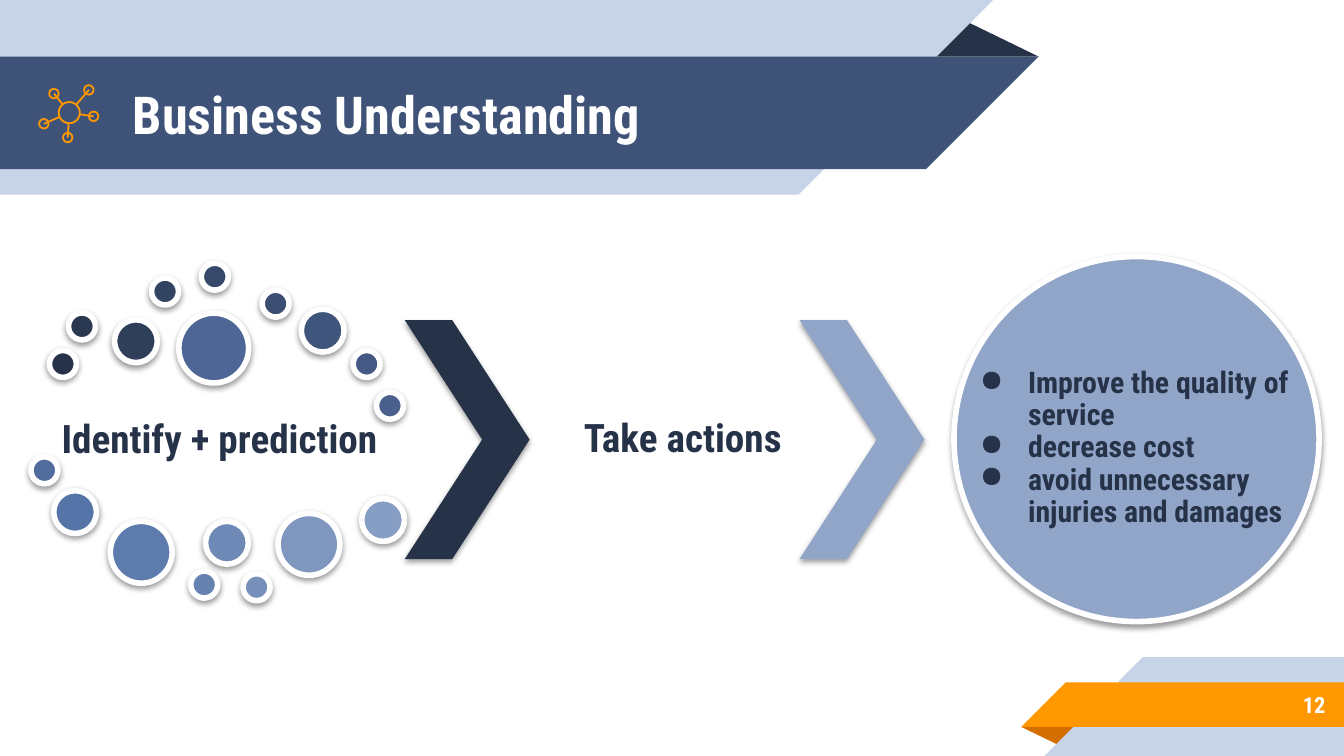
from math import hypot

from lxml.etree import SubElement
from pptx import Presentation
from pptx.dml.color import RGBColor
from pptx.enum.shapes import MSO_CONNECTOR, MSO_SHAPE
from pptx.enum.text import MSO_ANCHOR, MSO_AUTO_SIZE, PP_ALIGN
from pptx.oxml.ns import qn
from pptx.util import Cm, Pt

FONT = "Roboto Condensed"
COLORS = {
    "navy": "263248", "blue": "3F5378", "mist": "C7D3E6", "steel": "90A5C8",
    "orange": "FF9800", "rust": "D26F00", "white": "FFFFFF", "black": "000000",
}

# All lengths are in centimetres.
SLIDE_W, SLIDE_H = 25.4, 14.29
RIBBONS = [
    ("navy", [(18.17, 0.36), (19.63, 1.07), (17.48, 1.07)]),
    ("mist", [(0, 0), (18.77, 0), (15.09, 3.68), (0, 3.68)]),
    ("blue", [(0, 1.07), (19.63, 1.07), (17.5, 3.2), (0, 3.2)]),
    ("rust", [(19.3, 13.74), (20.4, 13.74), (20.04, 14.1)]),
    ("mist", [(19.74, SLIDE_H), (21.6, 12.42), (SLIDE_W, 12.42), (SLIDE_W, SLIDE_H)]),
    ("orange", [(19.3, 13.74), (20.14, 12.9), (SLIDE_W, 12.9), (SLIDE_W, 13.74)]),
]

TITLE = "Business Understanding"
PAGE_NUMBER = "12"
STEPS = [
    ("Identify + prediction", (0.53, 7.26, 7.24, 2.13)),
    ("Take actions", (9.68, 6.05, 6.45, 4.52)),
]
CHEVRONS = [("navy", 7.65), ("steel", 15.11)]
OUTCOMES = [
    "Improve the quality of service",
    "decrease cost",
    "avoid unnecessary injuries and damages",
]

HUB, HUB_SIZE = (1.31, 2.13), 0.4
NODES, NODE_SIZE = [(1.68, 1.7), (1.02, 1.77), (0.83, 2.34), (1.28, 2.6), (1.77, 2.2)], 0.18

# Centre x, centre y, diameter
S, M, L, XL = 0.51, 0.81, 1.17, 1.32
DOTS = [
    (1.19, 6.88, S), (1.55, 6.17, S), (2.57, 6.45, M), (3.12, 5.51, S),
    (4.06, 5.23, S), (5.21, 5.74, S), (6.1, 6.25, M), (6.93, 6.88, S),
    (7.37, 7.67, S), (4.04, 6.58, XL), (0.84, 8.89, S), (1.42, 9.68, M),
    (2.67, 10.44, L), (3.86, 11.05, S), (4.29, 10.26, M), (4.85, 11.1, S),
    (5.84, 10.29, L), (7.24, 9.83, M),
]
DOT_RAMP = [(0, "263248"), (9, "4D6695"), (11, "5574A7"), (17, "879EC4")]


def rgb(name):
    return RGBColor.from_string(COLORS[name])


def ramp_color(index):
    """Blend linearly between the two ramp stops around a dot's index."""
    for (low, start), (high, end) in zip(DOT_RAMP, DOT_RAMP[1:]):
        if index <= high:
            share = (index - low) / (high - low)
            pairs = zip(RGBColor.from_string(start), RGBColor.from_string(end))
            return RGBColor(*(round(a + (b - a) * share) for a, b in pairs))


def style(shape, fill=None, line=None, width=3):
    shape.shadow.inherit = False
    if fill is None:
        shape.fill.background()
    else:
        shape.fill.solid()
        shape.fill.fore_color.rgb = fill
    if line is None:
        shape.line.fill.background()
    else:
        shape.line.color.rgb = line
        shape.line.width = Pt(width)


def drop_shadow(shape):
    effects = shape._element.spPr.find(qn("a:effectLst"))
    shadow = SubElement(effects, qn("a:outerShdw"), blurRad=str(Pt(3.1)),
                        dist=str(Pt(1.6)), dir="5400000", algn="ctr", rotWithShape="0")
    color = SubElement(shadow, qn("a:srgbClr"), val=COLORS["black"])
    SubElement(color, qn("a:alpha"), val="38000")


def add_circle(slide, x, y, size):
    return slide.shapes.add_shape(MSO_SHAPE.OVAL, Cm(x - size / 2), Cm(y - size / 2),
                                  Cm(size), Cm(size))


def add_ribbon(slide, color, points):
    start, *rest = [(Cm(x), Cm(y)) for x, y in points]
    builder = slide.shapes.build_freeform(*start)
    builder.add_line_segments(rest, close=True)
    style(builder.convert_to_shape(), rgb(color))


def add_spoke(slide, x, y):
    """Join the rim of the hub to the centre of a node."""
    dx, dy = x - HUB[0], y - HUB[1]
    reach = HUB_SIZE / 2 / hypot(dx, dy)
    spoke = slide.shapes.add_connector(
        MSO_CONNECTOR.STRAIGHT, Cm(HUB[0] + dx * reach), Cm(HUB[1] + dy * reach), Cm(x), Cm(y))
    spoke.line.color.rgb = rgb("orange")
    spoke.line.width = Pt(0.96)
    SubElement(spoke._element.spPr, qn("a:effectLst"))


def add_bullet(paragraph):
    properties = paragraph._p.get_or_add_pPr()
    properties.set("marL", str(Cm(1.27)))
    properties.set("indent", str(Cm(-0.91)))
    color = SubElement(properties, qn("a:buClr"))
    SubElement(color, qn("a:srgbClr"), val=COLORS["navy"])
    SubElement(properties, qn("a:buChar"), char="●")


def write(shape, lines, size, color, align=PP_ALIGN.LEFT, inset=0.0, spacing=None, bullets=False):
    frame = shape.text_frame
    frame.word_wrap = True
    frame.auto_size = MSO_AUTO_SIZE.NONE
    frame.vertical_anchor = MSO_ANCHOR.MIDDLE
    frame.margin_left = frame.margin_right = frame.margin_top = frame.margin_bottom = Cm(inset)
    for index, line in enumerate(lines):
        paragraph = frame.add_paragraph() if index else frame.paragraphs[0]
        if bullets:
            add_bullet(paragraph)
        paragraph.alignment = align
        if spacing:
            paragraph.line_spacing = spacing
        run = paragraph.add_run()
        run.text = line
        run.font.name, run.font.size, run.font.bold = FONT, Pt(size), True
        run.font.color.rgb = rgb(color)


def add_text(slide, box, *args, **options):
    write(slide.shapes.add_textbox(*map(Cm, box)), *args, **options)


def add_header(slide):
    for color, points in RIBBONS:
        add_ribbon(slide, color, points)
    title = slide.shapes.title
    title.left, title.top, title.width, title.height = map(Cm, (2.26, 1.09, 14.6, 2.13))
    slide.shapes._spTree.append(title._element)  # bring in front of the ribbons
    write(title, [TITLE], 28, "white", inset=0.25)
    add_text(slide, (21.16, 12.88, 4.14, 0.89), [PAGE_NUMBER], 12, "white",
             PP_ALIGN.RIGHT, inset=0.25)


def add_network_icon(slide):
    for x, y, size in [(*HUB, HUB_SIZE)] + [(*node, NODE_SIZE) for node in NODES]:
        style(add_circle(slide, x, y, size), line=rgb("orange"), width=0.96)
    for node in NODES:
        add_spoke(slide, *node)


def add_process(slide):
    for index, dot in enumerate(DOTS):
        circle = add_circle(slide, *dot)
        style(circle, ramp_color(index), rgb("white"))
        drop_shadow(circle)
    for color, left in CHEVRONS:
        chevron = slide.shapes.add_shape(MSO_SHAPE.CHEVRON, Cm(left), Cm(6.05), Cm(2.36), Cm(4.52))
        chevron.adjustments[0] = 0.62
        style(chevron, rgb(color))
        drop_shadow(chevron)
    for label, box in STEPS:
        add_text(slide, box, [label], 21, "navy", PP_ALIGN.CENTER, inset=0.05, spacing=0.9)
    goal = add_circle(slide, 21.48, 8.3, 6.9)
    style(goal, rgb("steel"), rgb("white"))
    drop_shadow(goal)
    add_text(slide, (18.16, 6.53, 6.45, 3.89), OUTCOMES, 16, "navy", spacing=0.9, bullets=True)


def main():
    deck = Presentation()
    deck.slide_width, deck.slide_height = Cm(SLIDE_W), Cm(SLIDE_H)
    slide = deck.slides.add_slide(deck.slide_layouts[5])
    add_header(slide)
    add_network_icon(slide)
    add_process(slide)
    deck.save("out.pptx")


if __name__ == "__main__":
    main()
